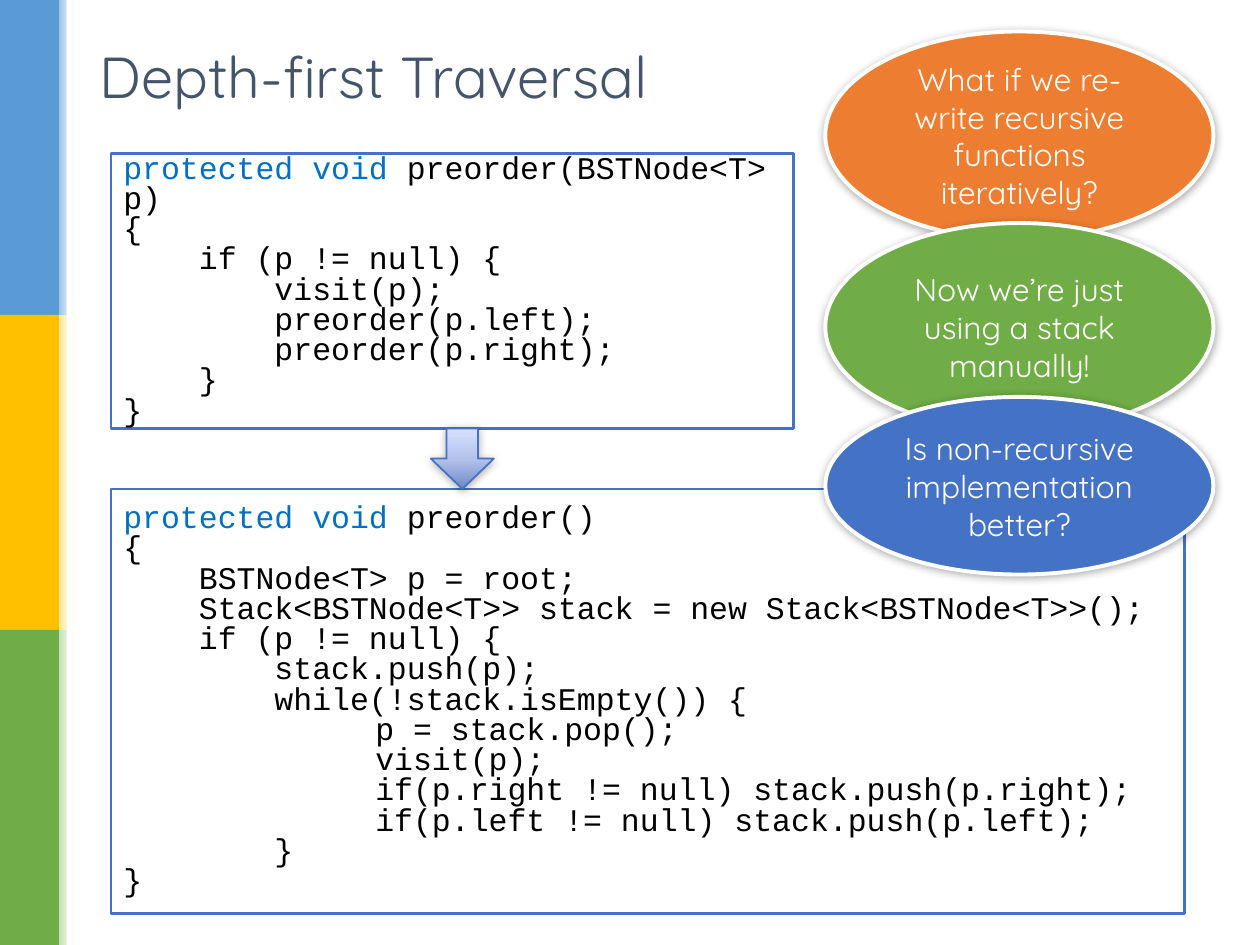
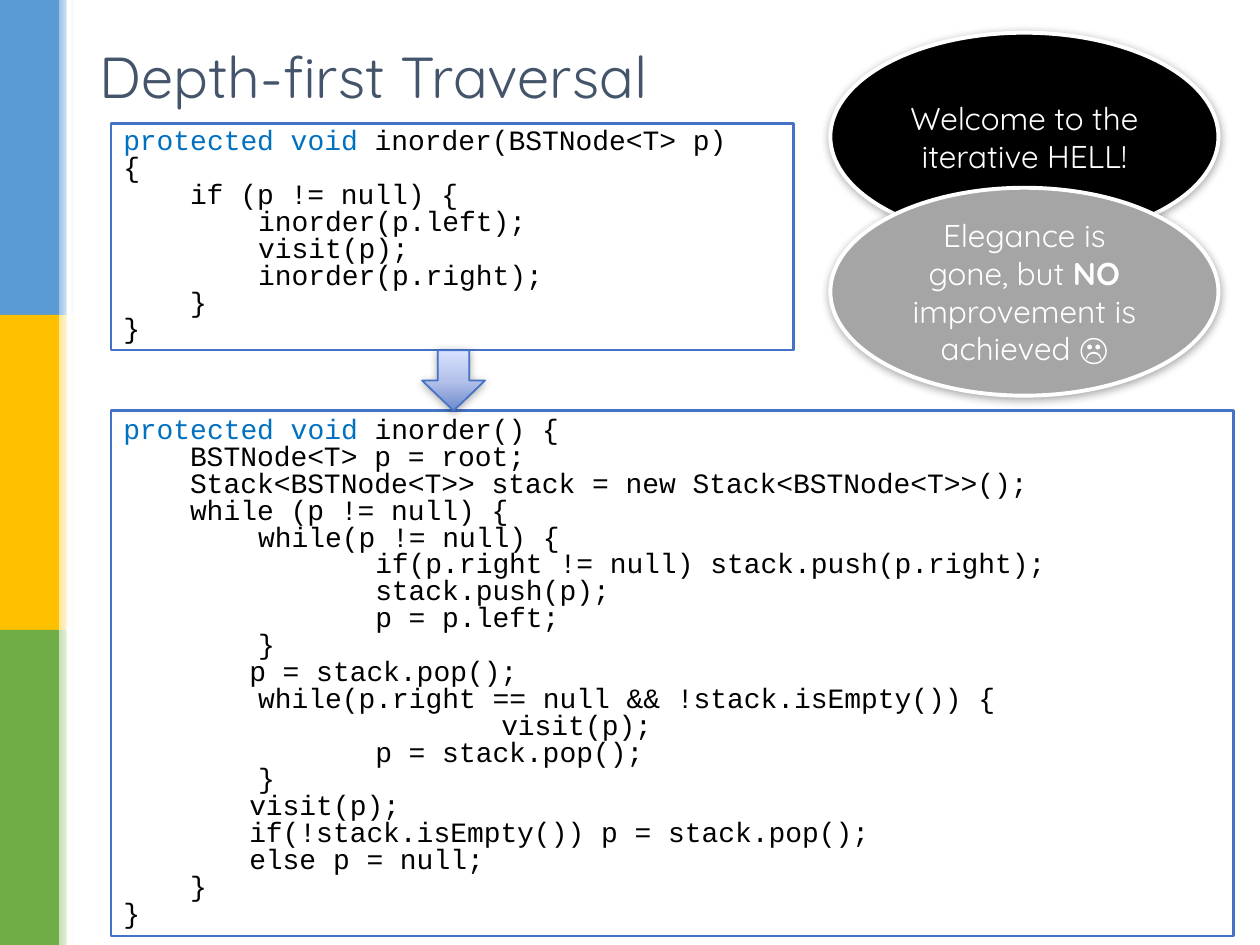
from dataclasses import dataclass

from lxml import etree
from pptx import Presentation
from pptx.dml.color import RGBColor
from pptx.enum.shapes import MSO_SHAPE
from pptx.enum.text import MSO_ANCHOR, PP_ALIGN
from pptx.oxml.ns import qn
from pptx.util import Inches, Pt


@dataclass(frozen=True)
class Theme:
    title: str = "44546A"
    keyword: str = "0070C0"
    black: str = "000000"
    white: str = "FFFFFF"
    blue: str = "4472C4"
    orange: str = "ED7D31"
    green: str = "70AD47"
    gray: str = "A5A5A5"
    # Side bands, top to bottom: main colour and lighter edge
    bands: tuple = (("5B9BD5", "9DC3E6"), ("FFC000", "FFE699"), ("70AD47", "C5E0B4"))
    arrow: tuple = ((0, "6D89CB"), (48, "B2C0EA"), (100, "D8E1FE"))
    text_font: str = "Quicksand"
    code_font: str = "Courier New"
    title_size: int = 33
    bubble_size: int = 18


T = Theme()

# Code listings: (indent level, text); the first line follows the keywords
KEYWORDS = "protected void "

PREORDER_RECURSIVE = [
    (0, "preorder(BSTNode<T> p)"),
    (0, "{"),
    (1, "if (p != null) {"),
    (2, "visit(p);"),
    (2, "preorder(p.left);"),
    (2, "preorder(p.right);"),
    (1, "}"),
    (0, "}"),
]
PREORDER_STACK = [
    (0, "preorder()"),
    (0, "{"),
    (1, "BSTNode<T> p = root;"),
    (1, "Stack<BSTNode<T>> stack = new Stack<BSTNode<T>>();"),
    (1, "if (p != null) {"),
    (2, "stack.push(p);"),
    (2, "while(!stack.isEmpty()) {"),
    (3, "p = stack.pop();"),
    (3, "visit(p);"),
    (3, "if(p.right != null) stack.push(p.right);"),
    (3, "if(p.left != null) stack.push(p.left);"),
    (2, "}"),
    (0, "}"),
]
PREORDER_INDENTS = (0, 0.6, 1.2, 2)

INORDER_RECURSIVE = [
    (0, "inorder(BSTNode<T> p)"),
    (0, "{"),
    (1, "if (p != null) {"),
    (3, "inorder(p.left);"),
    (3, "visit(p);"),
    (3, "inorder(p.right);"),
    (1, "}"),
    (0, "}"),
]
INORDER_STACK = [
    (0, "inorder() {"),
    (1, "BSTNode<T> p = root;"),
    (1, "Stack<BSTNode<T>> stack = new Stack<BSTNode<T>>();"),
    (1, "while (p != null) {"),
    (3, "while(p != null) {"),
    (4, "if(p.right != null) stack.push(p.right);"),
    (4, "stack.push(p);"),
    (4, "p = p.left;"),
    (3, "}"),
    (2, "p = stack.pop();"),
    (3, "while(p.right == null && !stack.isEmpty()) {"),
    (5, "visit(p);"),
    (4, "p = stack.pop();"),
    (3, "}"),
    (2, "visit(p);"),
    (2, "if(!stack.isEmpty()) p = stack.pop();"),
    (2, "else p = null;"),
    (1, "}"),
    (0, "}"),
]
INORDER_INDENTS = (0, 0.53, 1, 1.07, 2, 3)


# Basic helpers
def rgb(color):
    return RGBColor.from_string(color)


def add_box(s, kind, box, fill=None, line=None, width=1.0):
    sp = s.shapes.add_shape(kind, *map(Inches, box))
    sp.shadow.inherit = False
    if fill:
        sp.fill.solid()
        sp.fill.fore_color.rgb = rgb(fill)
    if line:
        sp.line.color.rgb = rgb(line)
        sp.line.width = Pt(width)
    else:
        sp.line.fill.background()
    return sp


def set_gradient(sp, stops, angle):
    sp.fill.gradient()
    sp.fill.gradient_angle = angle
    gs_list = sp._element.spPr.find(".//" + qn("a:gsLst"))
    for gs in list(gs_list):
        gs_list.remove(gs)
    for pos, color in stops:
        gs = etree.SubElement(gs_list, qn("a:gs"), pos=str(pos * 1000))
        etree.SubElement(gs, qn("a:srgbClr"), val=color)


def add_shadow(sp):
    effects = sp._element.spPr.find(qn("a:effectLst"))
    shadow = etree.SubElement(effects, qn("a:outerShdw"), blurRad=str(Pt(5)),
                              dist=str(Pt(1)), dir="5400000", algn="ctr", rotWithShape="0")
    color = etree.SubElement(shadow, qn("a:srgbClr"), val=T.black)
    etree.SubElement(color, qn("a:alpha"), val="32000")


def format_run(r, font, size, color, bold=None):
    r.font.name = font
    r.font.size = Pt(size)
    r.font.color.rgb = rgb(color)
    r.font.bold = bold


# Slide elements
def add_side_bands(s):
    height = 2.5
    for i, (main_color, edge_color) in enumerate(T.bands):
        add_box(s, MSO_SHAPE.RECTANGLE, (0, i * height, 0.47, height), main_color)
        edge = add_box(s, MSO_SHAPE.RECTANGLE, (0.47, i * height, 0.12, height))
        set_gradient(edge, ((0, edge_color), (100, T.white)), 0)
    add_box(s, MSO_SHAPE.RECTANGLE, (0.53, 0, 0.04, 7.5), T.white)


def add_title(s, text):
    tf = s.shapes.add_textbox(*map(Inches, (0.69, 0.26, 8.62, 0.68))).text_frame
    tf.word_wrap = True
    tf.vertical_anchor = MSO_ANCHOR.MIDDLE
    tf.text = text
    format_run(tf.paragraphs[0].runs[0], T.text_font, T.title_size, T.title)


def add_code(s, box, lines, indents, size):
    sp = add_box(s, MSO_SHAPE.RECTANGLE, box, T.white, T.blue, 1.5)
    tf = sp.text_frame
    tf.word_wrap = True
    tf.vertical_anchor = MSO_ANCHOR.MIDDLE
    tf.text = "\n".join([KEYWORDS] + [text for _, text in lines[1:]])
    tf.paragraphs[0].add_run().text = lines[0][1]
    for p, (level, _) in zip(tf.paragraphs, lines):
        p.alignment = PP_ALIGN.LEFT
        p.line_spacing = 0.8
        p._p.get_or_add_pPr().set("marL", str(Inches(indents[level])))
        for r in p.runs:
            format_run(r, T.code_font, size, T.keyword if r.text == KEYWORDS else T.black)


def add_arrow(s, left, top):
    sp = add_box(s, MSO_SHAPE.DOWN_ARROW, (left, top, 0.5, 0.48), line=T.blue)
    set_gradient(sp, T.arrow, 90)
    add_shadow(sp)


def add_bubble(s, left, top, fill, *parts, bold=None, height=1.65):
    sp = add_box(s, MSO_SHAPE.OVAL, (left, top, 3.08, height), fill, T.white, 2.25)
    add_shadow(sp)
    tf = sp.text_frame
    tf.word_wrap = True
    tf.vertical_anchor = MSO_ANCHOR.MIDDLE
    p = tf.paragraphs[0]
    p.alignment = PP_ALIGN.CENTER
    for part in parts:
        r = p.add_run()
        r.text = part
        format_run(r, T.text_font, T.bubble_size, T.white, part == bold)


def add_traversal_slide(prs):
    s = prs.slides.add_slide(prs.slide_layouts[6])
    add_side_bands(s)
    add_title(s, "Depth-first Traversal")
    return s


def main():
    prs = Presentation()
    prs.slide_width, prs.slide_height = Inches(10), Inches(7.5)

    # Preorder
    s = add_traversal_slide(prs)
    add_code(s, (0.88, 1.22, 5.42, 2.18), PREORDER_RECURSIVE, PREORDER_INDENTS, 18)
    add_code(s, (0.88, 3.88, 8.52, 3.37), PREORDER_STACK, PREORDER_INDENTS, 18)
    add_arrow(s, 3.42, 3.4)
    add_bubble(s, 6.55, 0.25, T.orange, "What if we re-write recursive functions iteratively?")
    add_bubble(s, 6.55, 1.77, T.green, "Now we’re just using a stack manually!")
    add_bubble(s, 6.55, 3.15, T.blue, "Is non-recursive implementation better?", height=1.41)

    # Inorder
    s = add_traversal_slide(prs)
    add_code(s, (0.88, 0.98, 5.42, 1.8), INORDER_RECURSIVE, INORDER_INDENTS, 16)
    add_code(s, (0.88, 3.26, 8.91, 4.17), INORDER_STACK, INORDER_INDENTS, 16)
    add_arrow(s, 3.35, 2.78)
    add_bubble(s, 6.59, 0.26, T.black, "Welcome to the iterative HELL!")
    add_bubble(s, 6.59, 1.49, T.gray, "Elegance is gone, but ", "NO",
               " improvement is achieved ☹", bold="NO")

    prs.save("out.pptx")


if __name__ == "__main__":
    main()
